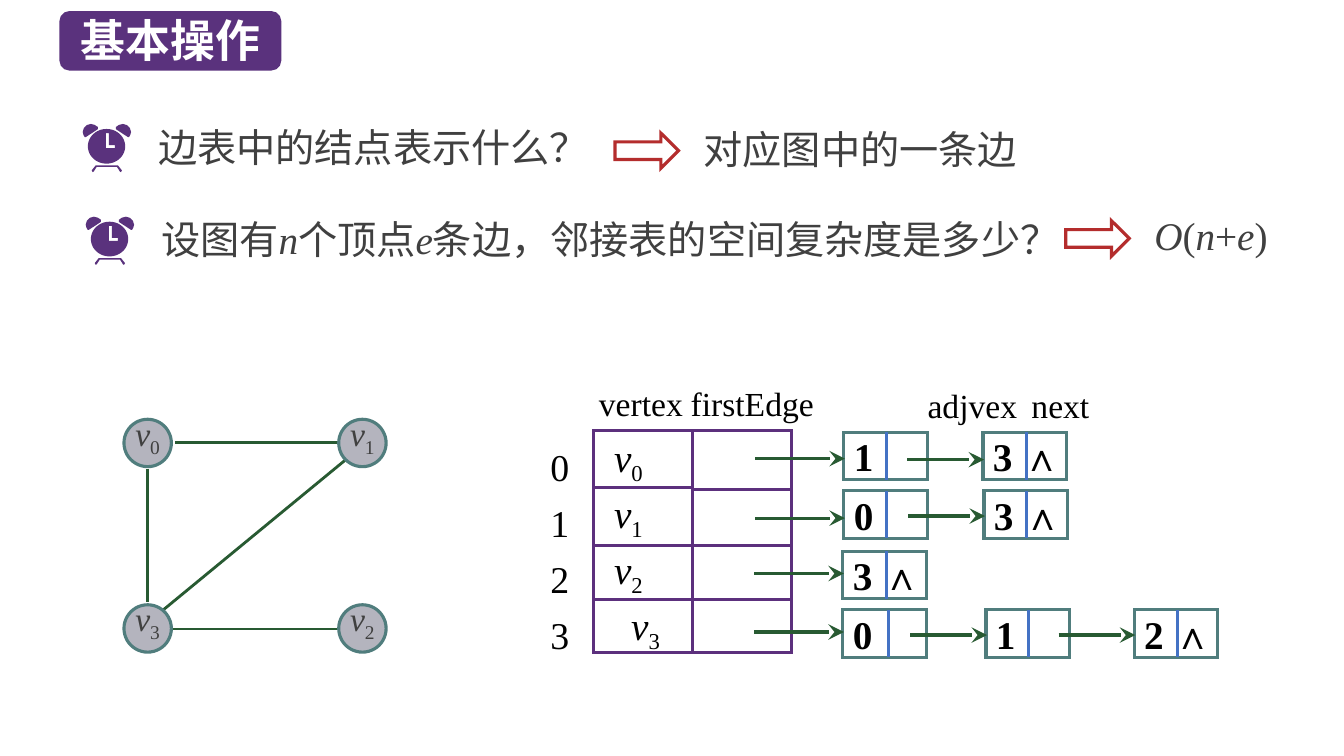
from math import cos, pi, sin

from pptx import Presentation
from pptx.dml.color import RGBColor
from pptx.enum.shapes import MSO_CONNECTOR as Link, MSO_SHAPE as Preset
from pptx.enum.text import MSO_ANCHOR as Anchor, MSO_AUTO_SIZE as Fit, PP_ALIGN as Align
from pptx.oxml.ns import qn
from pptx.util import Pt

EMU_PER_PX = 9144  # 100 px to the inch
SERIF, CJK = "Times New Roman", "Noto Sans CJK SC"
PURPLE, FRAME, TEAL, GREEN = "5A327D", "5C307D", "507D7D", "285A32"
BLUE, RED, GREY, INK, BLACK = "4472C4", "B42D2D", "B4B4BE", "404040", "000000"
NODE_W, NODE_H = 83, 47


def px(length):
    return round(length * EMU_PER_PX)


def rgb(color):
    return RGBColor.from_string(color)


def write(shape, paragraphs, size, color, font=SERIF, bold=False, align=Align.LEFT,
          anchor=Anchor.TOP, insets=(10, 5, 10, 5), spacing=None):
    """Each paragraph is a list of runs: (text, style), style being "", "i" or "sub"."""
    frame = shape.text_frame
    frame.word_wrap, frame.auto_size, frame.vertical_anchor = True, Fit.NONE, anchor
    (frame.margin_left, frame.margin_top,
     frame.margin_right, frame.margin_bottom) = map(px, insets)
    for number, runs in enumerate(paragraphs):
        paragraph = frame.add_paragraph() if number else frame.paragraphs[0]
        paragraph.alignment = align
        if spacing:
            paragraph.line_spacing = Pt(spacing)
        for text, style in runs:
            run = paragraph.add_run()
            run.text = text
            run.font.size, run.font.name = Pt(size), font
            run.font.bold, run.font.italic = bold, style == "i"
            run.font.color.rgb = rgb(color)
            properties = run._r.get_or_add_rPr()
            if style == "sub":
                properties.set("baseline", "-25000")
            if any(letter > "⿿" for letter in text):
                east_asian = properties.makeelement(qn("a:ea"), {"typeface": CJK})
                properties.find(qn("a:latin")).addnext(east_asian)


def add_to_stroke(shape, tag, **attributes):
    stroke = shape.element.spPr.find(qn("a:ln"))
    stroke.append(stroke.makeelement(qn(tag), attributes))


def paint(shape, fill=None, line=None):
    shape.shadow.inherit = False
    if fill:
        shape.fill.solid()
        shape.fill.fore_color.rgb = rgb(fill)
    else:
        shape.fill.background()
    if line:
        shape.line.color.rgb = rgb(line)
        shape.line.width = Pt(2.25)
        add_to_stroke(shape, "a:miter", lim="800000")
    else:
        shape.line.fill.background()


def add_preset(slide, preset, box, fill=None, line=None):
    shape = slide.shapes.add_shape(preset, *map(px, box))
    paint(shape, fill, line)
    return shape


def add_text(slide, box, paragraphs, size, color, **options):
    write(slide.shapes.add_textbox(*map(px, box)), paragraphs, size, color, **options)


def add_line(slide, start, end, color, width=2.25, arrow=False):
    line = slide.shapes.add_connector(Link.STRAIGHT, *map(px, (*start, *end)))
    line.line.color.rgb = rgb(color)
    line.line.width = Pt(width)
    if arrow:
        add_to_stroke(line, "a:tailEnd", type="stealth", w="lg", len="lg")
    properties = line.element.spPr
    properties.append(properties.makeelement(qn("a:effectLst"), {}))


# Heading
def add_heading(slide, x, y):
    badge = add_preset(slide, Preset.ROUNDED_RECTANGLE, (x, y, 220, 59), PURPLE)
    title = slide.shapes.title
    title.left, title.top, title.width, title.height = map(px, (x + 11, y - 4, 210, 64))
    write(title, [[("基本操作", "")]], 32, "FFFFFF", CJK, bold=True, anchor=Anchor.MIDDLE)
    title.element.addprevious(badge.element)


# Alarm clock, drawn in tenths of a px
def add_clock(slide, x, y):
    left_bell = [(80, 0), (40, 12), (12, 40), (0, 80), (8, 110), (20, 130),
                 (32, 130), (150, 52), (150, 30), (120, 10)]
    right_bell = [(480 - across, down) for across, down in left_bell]
    legs = [(90, 460), (130, 410), (350, 410), (390, 460), (380, 478), (370, 472),
            (340, 425), (140, 425), (110, 472), (100, 478)]
    turns = [2 * pi * step / 60 for step in range(60)]
    dial = [(237 + 185 * cos(turn), 222 + 172 * sin(turn)) for turn in turns]
    hands = [(230, 240), (320, 240), (320, 210), (260, 210), (260, 92), (230, 92)]
    for contours in ([legs], [left_bell], [right_bell], [dial, hands]):
        placed = [[(px(x + across / 10), px(y + down / 10)) for across, down in contour]
                  for contour in contours]
        builder = slide.shapes.build_freeform(*placed[0][0])
        builder.add_line_segments(placed[0][1:])
        for hole in placed[1:]:
            builder.move_to(*hole[0])
            builder.add_line_segments(hole[1:])
        paint(builder.convert_to_shape(), PURPLE)


# Question with its answer
def add_question(slide, clock, question_box, question, arrow, answer_box, answer):
    add_clock(slide, *clock)
    add_text(slide, question_box, [question], 28, INK)
    add_preset(slide, Preset.RIGHT_ARROW, (*arrow, 63, 35), line=RED)
    add_text(slide, answer_box, [answer], 28, INK)


# Undirected graph
def add_graph(slide, x, y):
    size, across, down = 47, 213, 184
    mid, right, bottom = size // 2, x + across, y + down
    add_line(slide, (x + size + 4, y + mid), (right + 3, y + mid), GREEN, 2)
    add_line(slide, (x + mid, y + size + 2), (x + mid, bottom - 3), GREEN, 2)
    add_line(slide, (right + 7, y + 40), (x + 39, bottom + 5), GREEN, 2)
    add_line(slide, (x + size, bottom + mid + 1), (right - 1, bottom + mid + 1), GREEN, 2)
    corners = [(x, y), (right, y), (right, bottom), (x, bottom)]
    for number, corner in enumerate(corners):
        vertex = add_preset(slide, Preset.OVAL, (*corner, size, size), GREY, TEAL)
        write(vertex, [[("v", "i"), (str(number), "sub")]], 24, INK, align=Align.CENTER,
              anchor=Anchor.MIDDLE, insets=(0, 0, 0, 0), spacing=22)


# Vertex table
def add_vertex_table(slide, x, y):
    column, height = 98, 220
    add_text(slide, (x - 43, y + 3, 43, 196), [[(str(row), "")] for row in range(4)],
             27, BLACK, insets=(0, 0, 0, 0), spacing=40)
    vertices = add_preset(slide, Preset.RECTANGLE, (x, y, column, height), line=FRAME)
    write(vertices, [[("v", "i"), (str(row), "sub")] for row in range(4)],
          28, BLACK, insets=(20, 0, 0, 0), spacing=40)
    last_vertex = vertices.text_frame.paragraphs[-1]
    last_vertex._p.get_or_add_pPr().set("marL", str(px(17)))
    add_preset(slide, Preset.RECTANGLE, (x + column, y, column, height), line=FRAME)
    for left, rules in ((x, (57, 114, 168)), (x + column, (59, 114, 168))):
        for rule in rules:
            add_line(slide, (left, y + rule), (left + column, y + rule), FRAME)


# Chain of edge nodes in one row
def add_edge_list(slide, y, first_arrow, next_arrow, nodes):
    for number, (x, divider, text) in enumerate(nodes):
        node = add_preset(slide, Preset.RECTANGLE, (x, y, NODE_W, NODE_H), line=TEAL)
        write(node, [[(text, "")]], 28, BLACK, bold=True, anchor=Anchor.MIDDLE,
              insets=(10, 0, 0, 0))
        add_line(slide, (x + divider, y), (x + divider, y + NODE_H), BLUE)
        length, drop = (76, next_arrow) if number else (89, first_arrow)
        tip = x + 1
        add_line(slide, (tip - length, y + drop), (tip, y + drop), GREEN, arrow=True)


def add_column_labels(slide):
    labels = [("vertex", 594, 375, 101), ("firstEdge", 685, 375, 127),
              ("adjvex", 920, 377, 105), ("next", 1023, 377, 105)]
    for text, x, y, width in labels:
        add_text(slide, (x, y, width, 50), [[(text, "")]], 24, BLACK, insets=(0, 5, 0, 5))


def main():
    deck = Presentation()
    deck.slide_width, deck.slide_height = px(1333), px(750)
    slide = deck.slides.add_slide(deck.slide_layouts[5])
    add_heading(slide, 59, 11)
    add_question(slide, (82, 123), (147, 117, 466, 57), [("边表中的结点表示什么？", "")],
                 (610, 132), (688, 119, 349, 57), [("对应图中的一条边", "")])
    add_question(slide, (85, 215), (150, 209, 890, 104),
                 [("设图有", ""), ("n", "i"), ("个顶点", ""), ("e", "i"),
                  ("条边，邻接表的空间复杂度是多少？", "")],
                 (1057, 219), (1135, 205, 151, 57),
                 [("O", "i"), ("(", ""), ("n", "i"), ("+", ""), ("e", "i"), (")", "")])
    add_graph(slide, 123, 416)
    add_vertex_table(slide, 589, 427)
    edge_lists = [
        (429, 26, 27, [(837, 42, "1"), (975, 43, "3 ∧")]),
        (487, 27, 25, [(837, 42, "0"), (976, 42, "3 ∧")]),
        (547, 22, 22, [(836, 43, "3 ∧")]),
        (605, 22, 25, [(836, 45, "0"), (978, 42, "1"), (1125, 43, "2 ∧")]),
    ]
    for edge_list in edge_lists:
        add_edge_list(slide, *edge_list)
    add_column_labels(slide)
    deck.save("out.pptx")


if __name__ == "__main__":
    main()
